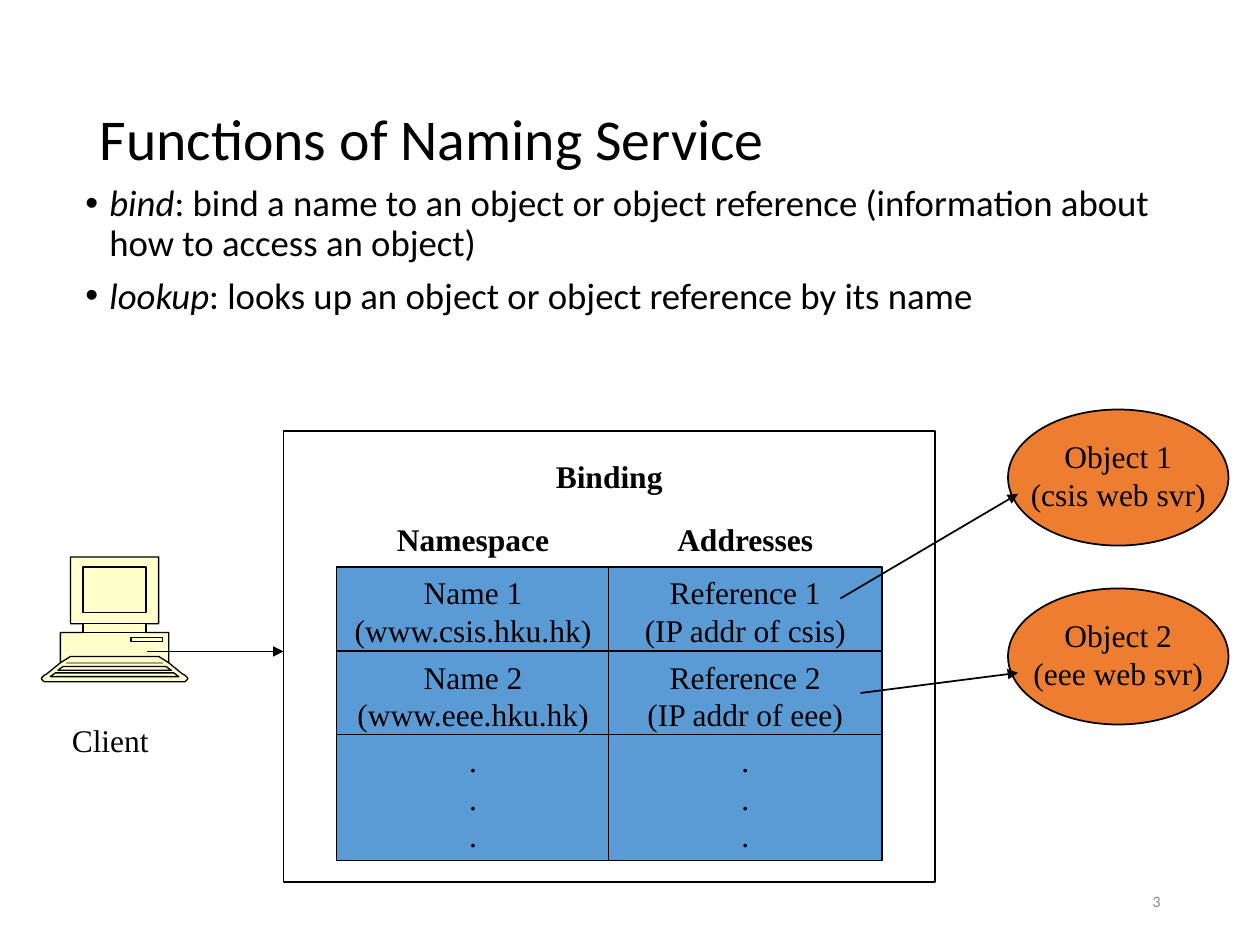
from copy import deepcopy

from lxml.etree import SubElement
from pptx import Presentation
from pptx.dml.color import RGBColor
from pptx.enum.shapes import MSO_CONNECTOR, MSO_SHAPE
from pptx.enum.text import MSO_ANCHOR, MSO_AUTO_SIZE, PP_ALIGN
from pptx.oxml.ns import qn
from pptx.util import Inches, Pt

COLORS = {
    "ink": "000000",
    "paper": "FFFFFF",
    "cell": "5B9BD5",
    "object": "ED7D31",
    "client": "FFFFCC",
    "number": "898989",
}
LABEL = {"name": "Times New Roman", "size": Pt(18)}
HEAD = {**LABEL, "bold": True}
TITLE = {"name": "Calibri", "size": Pt(33)}
BODY = {"name": "Calibri", "size": Pt(21)}
NUMBER = {"name": "Calibri", "size": Pt(9)}


def rgb(key):
    return RGBColor.from_string(COLORS[key])


def box(left, top, right, bottom):
    return [(left, top), (right, top), (right, bottom), (left, bottom)]


def mirror(half, axis=91):
    """Complete a symmetric outline from its left half."""
    return half + [(2 * axis - x, y) for x, y in reversed(half)]


class Painter:
    def __init__(self, slide):
        self.slide = slide
        self.shapes = slide.shapes

    def style(self, runs, fmt, color="ink"):
        for run in runs:
            for key, value in fmt.items():
                setattr(run.font, key, value)
            run.font.color.rgb = rgb(color)

    def label(self, shape, text, fmt, align=PP_ALIGN.CENTER, color="ink",
              anchor=MSO_ANCHOR.TOP):
        frame = shape.text_frame
        frame.word_wrap = True
        frame.auto_size = MSO_AUTO_SIZE.NONE
        frame.vertical_anchor = anchor
        para = frame.paragraphs[0]
        para.text = text
        para.alignment = align
        self.style(para.runs, fmt, color)
        return para

    def title(self, text, left, top, width, height):
        shape = self.shapes.title
        shape.left, shape.top = Inches(left), Inches(top)
        shape.width, shape.height = Inches(width), Inches(height)
        para = self.label(shape, text, TITLE, PP_ALIGN.LEFT, anchor=MSO_ANCHOR.MIDDLE)
        para.line_spacing = 0.9

    def text(self, text, left, top, width, height, fmt=LABEL, **options):
        shape = self.shapes.add_textbox(*map(Inches, (left, top, width, height)))
        self.label(shape, text, fmt, **options)

    def bullets(self, items, left, top, width, height):
        """Each item is an italic term and its meaning."""
        frame = self.shapes.add_textbox(
            *map(Inches, (left, top, width, height))).text_frame
        frame.word_wrap = True
        for i, (term, meaning) in enumerate(items):
            para = frame.add_paragraph() if i else frame.paragraphs[0]
            props = para._p.get_or_add_pPr()
            props.set("marL", str(Inches(0.19)))
            props.set("indent", str(-Inches(0.19)))
            SubElement(props, qn("a:buFont")).set("typeface", "Arial")
            SubElement(props, qn("a:buChar")).set("char", "•")
            para.line_spacing = 0.9
            para.space_before = Pt(7.5 if i else 0)
            for part, italic in ((term, True), (meaning, False)):
                run = para.add_run()
                run.text = part
                self.style([run], {**BODY, "italic": italic})

    def paint(self, shape, fill, width=1):
        shape.shadow.inherit = False
        shape.fill.solid()
        shape.fill.fore_color.rgb = rgb(fill)
        shape.line.color.rgb = rgb("ink")
        shape.line.width = Pt(width)

    def shape(self, kind, fill, left, top, width, height, text=None):
        shape = self.shapes.add_shape(kind, *map(Inches, (left, top, width, height)))
        self.paint(shape, fill)
        if text:
            self.label(shape, text, LABEL)

    def arrow(self, start, end):
        line = self.shapes.add_connector(
            MSO_CONNECTOR.STRAIGHT, *map(Inches, (*start, *end)))
        line.line.color.rgb = rgb("ink")
        line.line.width = Pt(1)
        SubElement(line.line._get_or_add_ln(), qn("a:tailEnd")).set("type", "triangle")
        SubElement(line._element.spPr, qn("a:effectLst"))

    def outline(self, loops, fill):
        """Draw (points, closed) loops, in hundredths of an inch, as one shape."""
        pen = None
        for points, closed in loops:
            if pen is None:
                pen = self.shapes.build_freeform(*points[0], scale=Inches(0.01))
            else:
                pen.move_to(*points[0])
            pen.add_line_segments(points[1:], close=closed)
        shape = pen.convert_to_shape()
        self.paint(shape, fill, 0.75)
        self.split(shape)

    def split(self, shape):
        """Give each loop its own path, so that inner loops are filled too."""
        whole = shape._element.spPr.find(".//" + qn("a:path"))
        blank = deepcopy(whole)
        for step in list(blank):
            blank.remove(step)
        for step in list(whole):
            if step.tag == qn("a:moveTo"):
                part = deepcopy(blank)
                whole.addprevious(part)
            part.append(step)
        whole.getparent().remove(whole)


def draw_client(pen):
    half = [(33, 539), (33, 538), (35, 536), (37, 535), (48, 526), (48, 502),
            (66, 502), (66, 495), (56, 495), (56, 442)]
    case = mirror([(37, 541), (35, 541)] + half)
    keys = [mirror([(x, y), (x + 4, y - 3)])
            for x, y in ((53, 526), (46, 532), (40, 537))]
    rim = mirror([(48, 526), (56, 521)])
    slot = box(104, 506, 129, 509)
    screen = box(66, 450, 116, 486)
    neck = box(66, 495, 116, 502)
    loops = [(part, True) for part in (case, *keys, slot, screen, neck)]
    pen.outline(loops + [(rim, False)], "client")
    pen.arrow((1.17, 5.17), (2.25, 5.17))
    pen.text("Client", 0.25, 5.67, 1.25, 0.4)


def draw_binding(pen):
    pen.shape(MSO_SHAPE.RECTANGLE, "paper", 2.25, 3.42, 5.17, 3.58)
    pen.text("Binding", 3.92, 3.58, 1.83, 0.4, HEAD)
    rows = [
        (4.5, 0.67, "Name 1\n(www.csis.hku.hk)", "Reference 1\n(IP addr of csis)"),
        (5.17, 0.67, "Name 2\n(www.eee.hku.hk)", "Reference 2\n(IP addr of eee)"),
        (5.83, 1, ".\n.\n.", ".\n.\n."),
    ]
    for col, head in enumerate(("Namespace", "Addresses")):
        left = 2.67 + 2.16 * col
        pen.text(head, left + 0.17, 4.08, 1.83, 0.4, HEAD)
        for top, height, *cells in rows:
            pen.shape(MSO_SHAPE.RECTANGLE, "cell", left, top, 2.17, height, cells[col])


def draw_objects(pen):
    objects = [
        (3.25, "Object 1\n(csis web svr)", (6.67, 4.75)),
        (4.67, "Object 2\n(eee web svr)", (6.83, 5.5)),
    ]
    for top, text, start in objects:
        pen.shape(MSO_SHAPE.OVAL, "object", 8, top, 1.75, 1.08)
        pen.text(text, 8, top + 0.17, 1.75, 0.7)
        pen.arrow(start, (8.08, top + 0.67))


def main():
    deck = Presentation()
    deck.slide_width, deck.slide_height = Inches(10), Inches(7.5)
    pen = Painter(deck.slides.add_slide(deck.slide_layouts[5]))
    pen.title("Functions of Naming Service", 0.69, 0.4, 8.63, 1.45)
    pen.bullets([
        ("bind", ": bind a name to an object or object reference "
                 "(information about how to access an object)"),
        ("lookup", ": looks up an object or object reference by its name"),
    ], 0.58, 1.42, 8.83, 1.58)
    draw_binding(pen)
    draw_objects(pen)
    draw_client(pen)
    pen.text("3", 7.06, 6.95, 2.25, 0.4, NUMBER, align=PP_ALIGN.RIGHT,
             color="number", anchor=MSO_ANCHOR.MIDDLE)
    deck.save("out.pptx")


if __name__ == "__main__":
    main()
